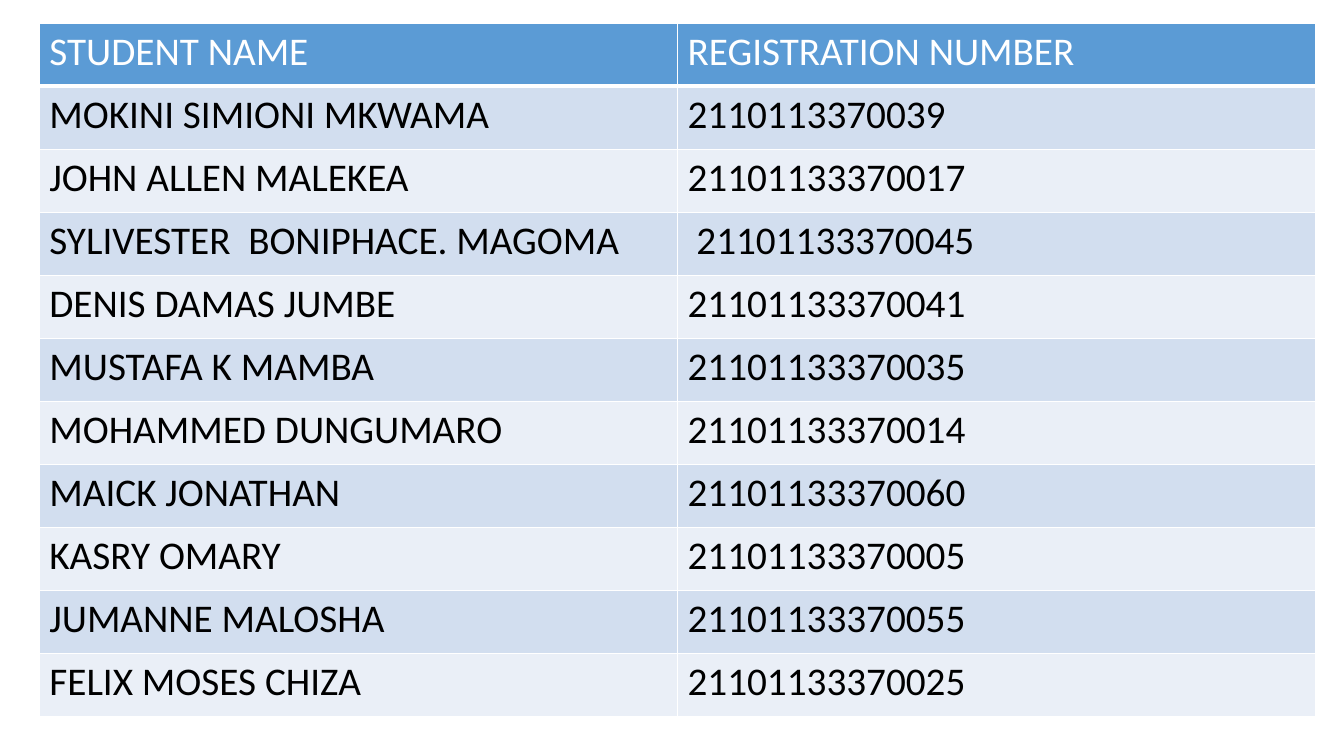
"""Build a slide with a table of students and their registration numbers."""
import pptx
import pptx.dml.color
import pptx.enum.text
import pptx.oxml
import pptx.oxml.ns
import pptx.util

Inches = pptx.util.Inches


def rgb(value):
    return pptx.dml.color.RGBColor.from_string(value)


def add_border(cell, side, points):
    ln = pptx.oxml.parse_xml(
        f'<a:ln{side} {pptx.oxml.ns.nsdecls("a")} w="{pptx.util.Pt(points)}">'
        '<a:solidFill><a:srgbClr val="FFFFFF"/></a:solidFill>'
        f'</a:ln{side}>'
    )
    cell._tc.get_or_add_tcPr().append(ln)


rows = [
    ("STUDENT NAME", "REGISTRATION NUMBER"),
    ("MOKINI SIMIONI MKWAMA", "2110113370039"),
    ("JOHN ALLEN MALEKEA", "21101133370017"),
    ("SYLIVESTER  BONIPHACE. MAGOMA", " 21101133370045"),
    ("DENIS DAMAS JUMBE", "21101133370041"),
    ("MUSTAFA K MAMBA", "21101133370035"),
    ("MOHAMMED DUNGUMARO", "21101133370014"),
    ("MAICK JONATHAN", "21101133370060"),
    ("KASRY OMARY", "21101133370005"),
    ("JUMANNE MALOSHA", "21101133370055"),
    ("FELIX MOSES CHIZA", "21101133370025"),
]

prs = pptx.Presentation()
prs.slide_width = Inches(13.33)
prs.slide_height = Inches(7.5)
s = prs.slides.add_slide(prs.slide_layouts[6])

table = s.shapes.add_table(
    len(rows), 2, Inches(0.39), Inches(0.23), Inches(12.66), Inches(6.88)
).table

for i, row in enumerate(rows):
    header = i == 0
    fill = "5B9BD5" if header else ("EAEFF7", "D2DEEF")[i % 2]
    for j, text in enumerate(row):
        cell = table.cell(i, j)
        for side in "LRTB":
            add_border(cell, side, 3 if header and side == "B" else 1)
        cell.fill.solid()
        cell.fill.fore_color.rgb = rgb(fill)
        cell.vertical_anchor = pptx.enum.text.MSO_ANCHOR.TOP
        cell.text = text
        p = cell.text_frame.paragraphs[0]
        p.font.name = "Calibri"
        p.font.size = pptx.util.Pt(28)
        p.font.bold = False
        p.font.color.rgb = rgb("FFFFFF" if header else "000000")

prs.save("out.pptx")
